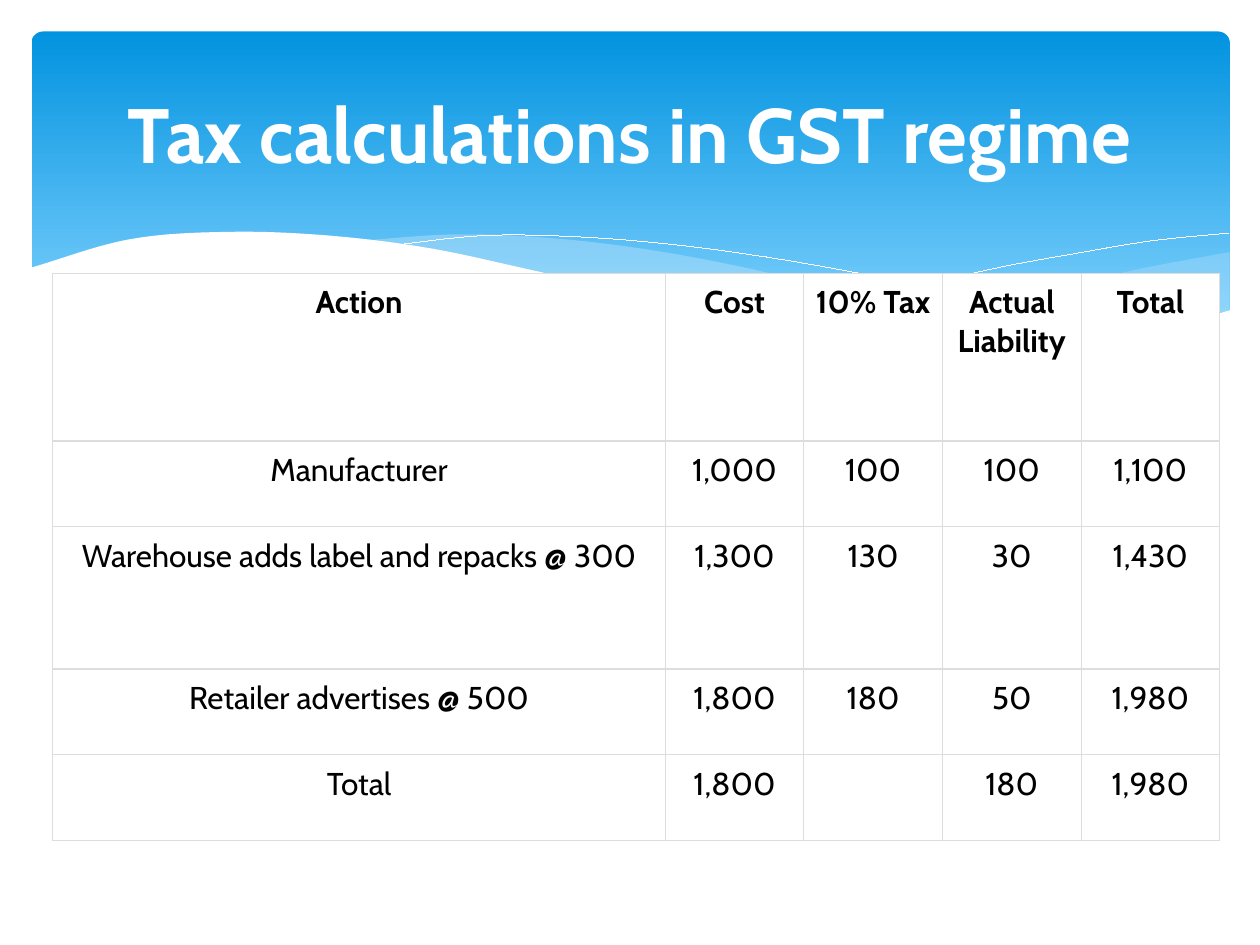
from lxml import etree
from pptx import Presentation
from pptx.dml.color import RGBColor
from pptx.enum.shapes import MSO_SHAPE
from pptx.enum.text import MSO_ANCHOR, PP_ALIGN
from pptx.oxml.ns import qn
from pptx.util import Pt

ROUNDED = MSO_SHAPE.ROUNDED_RECTANGLE
CENTER = PP_ALIGN.CENTER
MIDDLE = MSO_ANCHOR.MIDDLE
PX = 9144
FONT = "Cabin"
WHITE, BLACK, BORDER, PALE = "FFFFFF", "000000", "DDDDDD", "C6E7FC"

TITLE = "Tax calculations in GST regime"
TITLE_BOX = (50, 37, 900, 137)
BANNER_BOX = (25, 25, 951, 270)
BANNER_STOPS = [(0, "0293E0"), (0.9, "83D3FE")]

ROWS = [
    ("Action", "Cost", "10% Tax", "Actual Liability", "Total"),
    ("Manufacturer", "1,000", "100", "100", "1,100"),
    ("Warehouse adds label and repacks @ 300", "1,300", "130", "30", "1,430"),
    ("Retailer advertises @ 500", "1,800", "180", "50", "1,980"),
    ("Total", "1,800", "", "180", "1,980"),
]
TABLE_AT = (42, 217)
COL_WIDTHS = [486] + [110] * 4
ROW_HEIGHTS = [133, 68, 113, 68, 68]
CELL_MARGIN = 8

BANDS = {
    "right": dict(
        span=(661, 976), fill=PALE, opacity=29,
        upper=[265, 250, 234, 215, 200],
        lower=[265, 274, 278, 270, 247],
    ),
    "middle": dict(
        span=(286, 893), fill=PALE, opacity=40,
        upper=[191, 186, 189, 198, 212, 230, 247, 262, 273],
        lower=[191, 203, 219, 237, 253, 266, 276, 278, 273],
    ),
    "front": dict(
        span=(23, 977), fill=WHITE, opacity=100,
        upper=[213, 190, 184, 187, 197, 214, 232, 250, 264, 273, 277, 269, 246],
        lower=[329, 329],
    ),
}
HAIRLINES = {
    "left": dict(
        span=(309, 907),
        heights=[195, 187, 188, 194, 204, 217, 232, 251, 272],
    ),
    "right": dict(
        span=(613, 975),
        heights=[257, 241, 226, 212, 201, 191, 185],
    ),
}
CURVE_STEPS = 10


def color(value):
    return RGBColor.from_string(value)


def emu(*lengths):
    return [round(n * PX) for n in lengths]


def smooth_curve(span, heights):
    """Catmull-Rom curve through heights spaced evenly across the span."""
    left, right = span
    last = len(heights) - 1
    gap = (right - left) / last
    before = 2 * heights[0] - heights[1]
    after = 2 * heights[-1] - heights[-2]
    padded = [before, *heights, after]
    points = []
    for i in range(last):
        y0, y1, y2, y3 = padded[i:i + 4]
        for step in range(CURVE_STEPS):
            t = step / CURVE_STEPS
            y = y1 + t / 2 * (
                y2 - y0
                + t * (2 * y0 - 5 * y1 + 4 * y2 - y3)
                + t * t * (3 * y1 - y0 - 3 * y2 + y3)
            )
            points.append((left + (i + t) * gap, y))
    return points + [(right, heights[-1])]


def add_outline(s, points, close):
    corners = [emu(*point) for point in points]
    builder = s.shapes.build_freeform(*corners[0])
    builder.add_line_segments(corners[1:], close=close)
    sp = builder.convert_to_shape()
    sp.shadow.inherit = False
    return sp


def add_band(s, span, fill, opacity, upper, lower):
    top, bottom = smooth_curve(span, upper), smooth_curve(span, lower)
    sp = add_outline(s, top + bottom[::-1], close=True)
    sp.line.fill.background()
    sp.fill.solid()
    sp.fill.fore_color.rgb = color(fill)
    if opacity < 100:
        rgb = sp._element.spPr.find(qn("a:solidFill")).find(qn("a:srgbClr"))
        etree.SubElement(rgb, qn("a:alpha"), val=str(opacity * 1000))


def add_hairline(s, span, heights):
    sp = add_outline(s, smooth_curve(span, heights), close=False)
    sp.fill.background()
    sp.line.color.rgb = color(WHITE)
    sp.line.width = Pt(0.01)


def add_banner(s):
    sp = s.shapes.add_shape(ROUNDED, *emu(*BANNER_BOX))
    sp.shadow.inherit = False
    sp.adjustments[0] = 0.034
    sp.line.fill.background()
    sp.fill.gradient()
    sp.fill.gradient_angle = 270
    for stop, (position, value) in zip(sp.fill.gradient_stops, BANNER_STOPS):
        stop.position = position
        stop.color.rgb = color(value)


def add_waves(s):
    add_band(s, **BANDS["right"])
    add_band(s, **BANDS["middle"])
    for hairline in HAIRLINES.values():
        add_hairline(s, **hairline)
    add_band(s, **BANDS["front"])


def add_text(tf, text, size, ink, bold):
    p = tf.paragraphs[0]
    p.alignment = CENTER
    if text:
        r = p.add_run()
        r.text = text
        r.font.name = FONT
        r.font.size = Pt(size)
        r.font.bold = bold
        r.font.color.rgb = color(ink)


def add_borders(cell):
    tcPr = cell._tc.get_or_add_tcPr()
    for side in ("lnL", "lnR", "lnT", "lnB"):
        ln = etree.SubElement(tcPr, qn("a:" + side), w=str(Pt(0.75)))
        fill = etree.SubElement(ln, qn("a:solidFill"))
        etree.SubElement(fill, qn("a:srgbClr"), val=BORDER)


def add_tax_table(s):
    size = (sum(COL_WIDTHS), sum(ROW_HEIGHTS))
    frame = s.shapes.add_table(len(ROWS), len(COL_WIDTHS), *emu(*TABLE_AT, *size))
    table = frame.table
    table.first_row = False
    table.horz_banding = False
    for col, width in zip(table.columns, emu(*COL_WIDTHS)):
        col.width = width
    for row, height in zip(table.rows, emu(*ROW_HEIGHTS)):
        row.height = height
    for i, texts in enumerate(ROWS):
        for j, text in enumerate(texts):
            cell = table.cell(i, j)
            cell.margin_left = cell.margin_right = CELL_MARGIN * PX
            cell.margin_top = cell.margin_bottom = CELL_MARGIN * PX
            add_borders(cell)
            cell.fill.solid()
            cell.fill.fore_color.rgb = color(WHITE)
            add_text(cell.text_frame, text, 18, BLACK, bold=i == 0)


def add_title(s):
    tf = s.shapes.add_textbox(*emu(*TITLE_BOX)).text_frame
    tf.word_wrap = True
    tf.vertical_anchor = MIDDLE
    add_text(tf, TITLE, 44, WHITE, bold=True)


def main():
    prs = Presentation()
    prs.slide_width, prs.slide_height = emu(1000, 750)
    s = prs.slides.add_slide(prs.slide_layouts[6])
    add_banner(s)
    add_waves(s)
    add_tax_table(s)
    add_title(s)
    prs.save("out.pptx")


if __name__ == "__main__":
    main()
